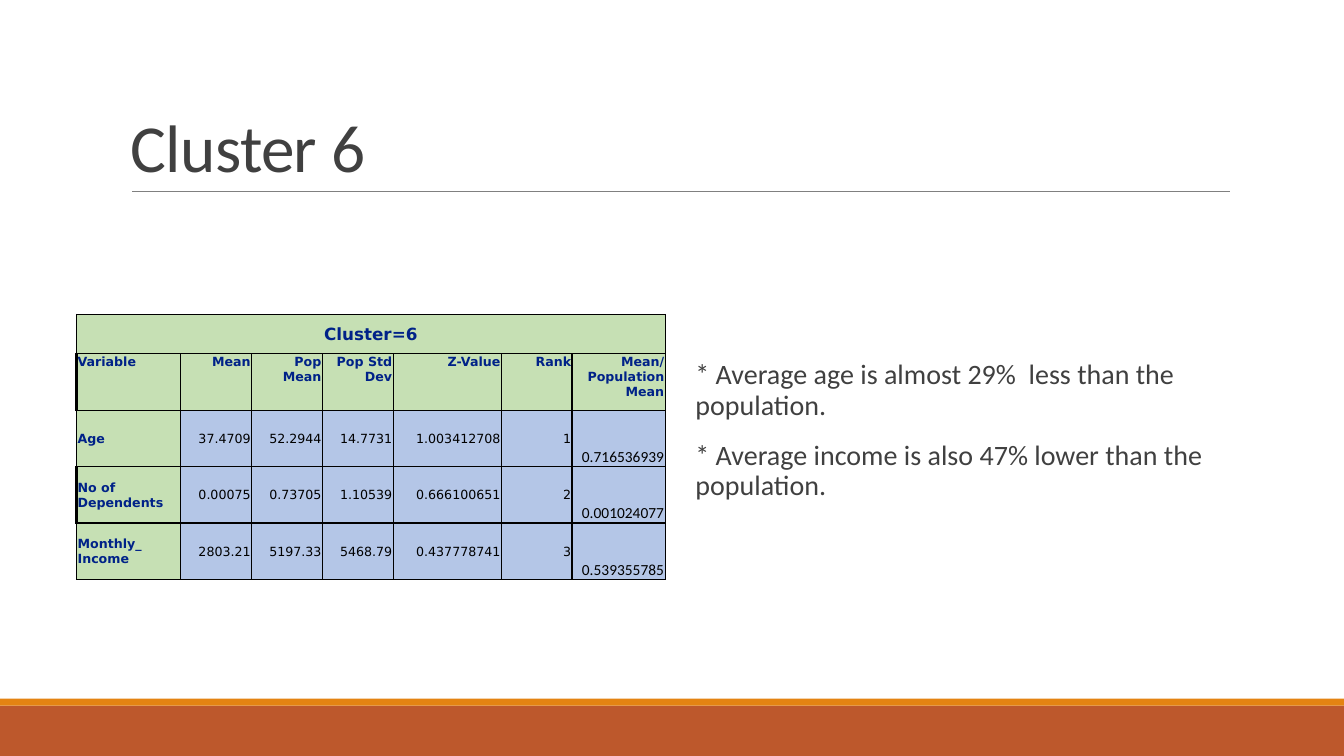
from collections import namedtuple
from dataclasses import dataclass

from lxml import etree
from pptx import Presentation
from pptx import util as u
from pptx.dml.color import RGBColor
from pptx.enum import shapes, text
from pptx.oxml import ns

Box = namedtuple("Box", "left top width height")


@dataclass(frozen=True)
class Theme:
    ink: str = "404040"
    rule: str = "808080"
    band: str = "BD582C"
    stripe: str = "E48312"
    label: str = "002288"
    label_fill: str = "C6E0B4"
    value: str = "000000"
    value_fill: str = "B4C6E7"
    body_font: str = "Calibri"
    table_font: str = "DejaVu Sans"
    title_size: float = 48
    body_size: float = 20
    caption_size: float = 12
    cell_size: float = 9
    ratio_size: float = 11


THEME = Theme()
COLUMN_SHARES = [1.03, 0.7, 0.7, 0.7, 1.07, 0.7, 0.92]
ROW_SHARES = [0.39, 0.56, 0.56, 0.56, 0.56]
THICK_LEFT_ROWS = (1, 3)
CLUSTER_ROWS = [
    ["Cluster=6"] + [""] * 6,
    ["Variable", "Mean", "Pop Mean", "Pop Std Dev", "Z-Value", "Rank", "Mean/ Population Mean"],
    ["Age", "37.4709", "52.2944", "14.7731", "1.003412708", "1", "0.716536939"],
    ["No of Dependents", "0.00075", "0.73705", "1.10539", "0.666100651", "2", "0.001024077"],
    ["Monthly_ Income", "2803.21", "5197.33", "5468.79", "0.437778741", "3", "0.539355785"],
]
FINDINGS = [
    "* Average age is almost 29%  less than the population.",
    "* Average income is also 47% lower than the population.",
]


def share_box(deck, left, top, width, height):
    across, down = deck.slide_width / 100, deck.slide_height / 100
    return Box(int(left * across), int(top * down), int(width * across), int(height * down))


def style_span(span, size, color, font, bold=False):
    span.font.size = u.Pt(size)
    span.font.color.rgb = RGBColor.from_string(color)
    span.font.name = font
    span.font.bold = bold


def add_bar(page, box, color):
    bar = page.shapes.add_shape(shapes.MSO_SHAPE.RECTANGLE, *box)
    bar.shadow.inherit = False
    bar.fill.solid()
    bar.fill.fore_color.rgb = RGBColor.from_string(color)
    bar.line.fill.background()


def add_title(page, box, wording):
    left = box.left + box.width // 100
    bottom = box.top + box.height
    rule = page.shapes.add_connector(
        shapes.MSO_CONNECTOR.STRAIGHT, left, bottom, box.left + box.width, bottom)
    rule.line.color.rgb = RGBColor.from_string(THEME.rule)
    rule.line.width = u.Pt(0.5)
    etree.SubElement(rule.element.spPr, ns.qn("a:effectLst"))

    frame = page.shapes.add_textbox(*box).text_frame
    frame.word_wrap = True
    frame.vertical_anchor = text.MSO_ANCHOR.BOTTOM
    frame.text = wording
    para = frame.paragraphs[0]
    para.line_spacing = 0.85
    span = para.runs[0]
    style_span(span, THEME.title_size, THEME.ink, THEME.body_font)
    span.font._element.set("spc", "-50")


def add_findings(page, box, findings):
    frame = page.shapes.add_textbox(*box).text_frame
    frame.word_wrap = True
    frame.margin_right = 0
    frame.text = "\n".join(findings)
    for para in frame.paragraphs:
        para.line_spacing = 0.9
        para.space_after = u.Pt(14)
        style_span(para.runs[0], THEME.body_size, THEME.ink, THEME.body_font)


def add_borders(cell, thick_left):
    properties = cell._tc.get_or_add_tcPr()
    for side in "LRTB":
        width = u.Pt(2 if side == "L" and thick_left else 1)
        border = etree.SubElement(properties, ns.qn("a:ln" + side), w=str(int(width)))
        fill = etree.SubElement(border, ns.qn("a:solidFill"))
        etree.SubElement(fill, ns.qn("a:srgbClr"), val=THEME.value)


def fill_cell(cell, wording, row, column):
    is_label = row < 2 or column == 0
    is_ratio = column == len(COLUMN_SHARES) - 1 and not is_label
    add_borders(cell, column == 0 and row in THICK_LEFT_ROWS)
    cell.fill.solid()
    cell.fill.fore_color.rgb = RGBColor.from_string(
        THEME.label_fill if is_label else THEME.value_fill)
    cell.margin_left = cell.margin_right = cell.margin_top = u.Inches(0.01)
    cell.margin_bottom = 0
    anchor, align = text.MSO_ANCHOR, text.PP_ALIGN
    cell.vertical_anchor = (
        anchor.TOP if row == 1 else anchor.BOTTOM if is_ratio else anchor.MIDDLE)
    cell.text = wording
    para = cell.text_frame.paragraphs[0]
    para.alignment = align.CENTER if row == 0 else align.RIGHT if column else align.LEFT
    size = THEME.caption_size if row == 0 else THEME.ratio_size if is_ratio else THEME.cell_size
    for span in para.runs:
        style_span(span, size, THEME.label if is_label else THEME.value,
                   THEME.body_font if is_ratio else THEME.table_font, is_label)


def add_cluster_table(page, box, rows):
    table = page.shapes.add_table(len(rows), len(COLUMN_SHARES), *box).table
    for column, share in zip(table.columns, COLUMN_SHARES):
        column.width = int(box.width * share / sum(COLUMN_SHARES))
    for row, share in zip(table.rows, ROW_SHARES):
        row.height = int(box.height * share / sum(ROW_SHARES))
    for row, wordings in enumerate(rows):
        for column, wording in enumerate(wordings):
            fill_cell(table.cell(row, column), wording, row, column)
    table.cell(0, 0).merge(table.cell(0, len(COLUMN_SHARES) - 1))


def main():
    deck = Presentation()
    deck.slide_width, deck.slide_height = u.Inches(13.33), u.Inches(7.5)
    page = deck.slides.add_slide(deck.slide_layouts[6])
    add_bar(page, share_box(deck, 0, 93.33, 100, 6.67), THEME.band)
    add_bar(page, share_box(deck, 0, 92.4, 100, 0.93), THEME.stripe)
    add_title(page, share_box(deck, 9, 4.13, 82.5, 21.2), "Cluster 6")
    add_findings(page, share_box(deck, 51, 47.07, 40.5, 38.5), FINDINGS)
    add_cluster_table(page, share_box(deck, 5.7, 41.6, 43.8, 35.07), CLUSTER_ROWS)
    deck.save("out.pptx")


if __name__ == "__main__":
    main()
